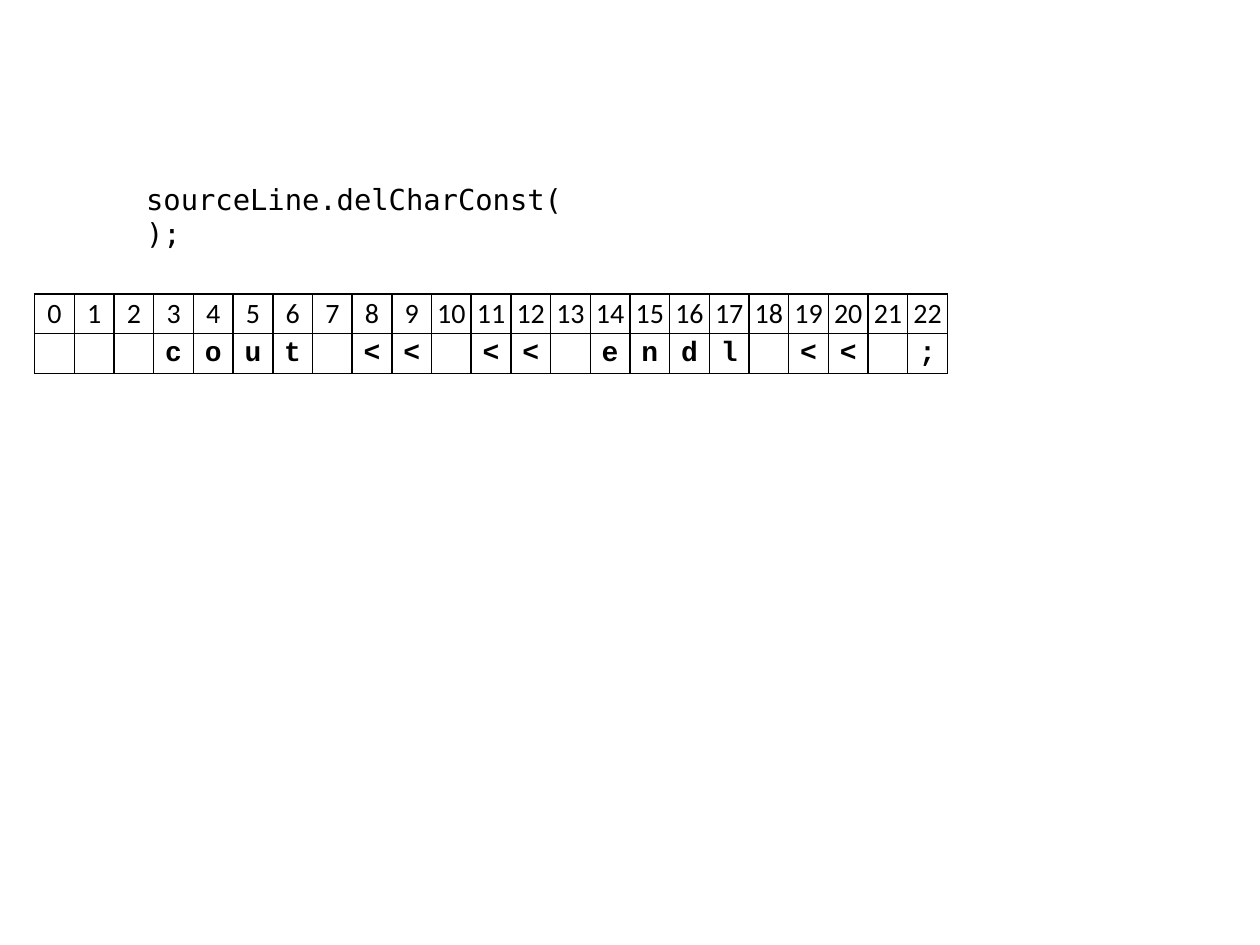
from lxml import etree
from pptx import Presentation
from pptx import util as u
from pptx.dml.color import RGBColor
from pptx.enum import text
from pptx.oxml.ns import qn

CALL = "sourceLine.delCharConst();"
LINE = "   cout << << endl << ;"
BLACK = "000000"
CALL_FONT = {"name": "DejaVu Sans Mono", "size": u.Pt(16.5)}
ROWS = [
    ([str(i) for i in range(len(LINE))], {"name": "Calibri", "size": u.Pt(16)}),
    (LINE, {"name": "Courier New", "size": u.Pt(16), "bold": True}),
]
CELL = u.Pt(22.68)
CELL_FORMAT = {
    "margin_left": 0, "margin_right": 0, "margin_top": 0, "margin_bottom": 0,
    "vertical_anchor": text.MSO_ANCHOR.MIDDLE,
}


def rgb(value):
    """Return the colour for a hex string."""
    return RGBColor.from_string(value)


def assign(obj, values):
    """Set attributes of an object from a dict."""
    for name, value in values.items():
        setattr(obj, name, value)


def write(p, words, font):
    """Add one formatted black run to a paragraph."""
    r = p.add_run()
    r.text = words
    assign(r.font, font)
    r.font.color.rgb = rgb(BLACK)


def add_borders(cell, width=u.Pt(1)):
    """Draw a solid black line on all four sides of a cell."""
    tcPr = cell._tc.get_or_add_tcPr()
    for side in ("lnL", "lnR", "lnT", "lnB"):
        ln = etree.SubElement(tcPr, qn("a:" + side), w=str(int(width)))
        fill = etree.SubElement(ln, qn("a:solidFill"))
        etree.SubElement(fill, qn("a:srgbClr"), val=BLACK)


def add_call(s):
    """Put the function call in the body placeholder."""
    sp = s.placeholders[1]
    assign(sp, {"left": u.Pt(76.3), "top": u.Pt(100), "width": u.Pt(260.6), "height": u.Pt(23)})
    tf = sp.text_frame
    assign(tf, {"word_wrap": True, "auto_size": text.MSO_AUTO_SIZE.NONE,
                "vertical_anchor": text.MSO_ANCHOR.TOP})
    p = tf.paragraphs[0]
    pPr = p._p.get_or_add_pPr()
    pPr.set("marL", "0")
    pPr.set("indent", "0")
    etree.SubElement(pPr, qn("a:buNone"))
    write(p, CALL, CALL_FONT)


def add_line_table(s):
    """Add the source line, one character a cell, below its indices."""
    count = len(LINE)
    table = s.shapes.add_table(len(ROWS), count, u.Pt(19.8), u.Pt(168),
                               CELL * count, CELL * len(ROWS)).table
    assign(table, {"first_row": False, "horz_banding": False})
    for column in table.columns:
        column.width = CELL
    for i, (items, font) in enumerate(ROWS):
        table.rows[i].height = CELL
        for j, item in enumerate(items):
            cell = table.cell(i, j)
            assign(cell, CELL_FORMAT)
            add_borders(cell)
            cell.fill.background()
            p = cell.text_frame.paragraphs[0]
            p.alignment = text.PP_ALIGN.CENTER
            if item.strip():
                write(p, item, font)


prs = Presentation()
assign(prs, {"slide_width": u.Pt(720), "slide_height": u.Pt(540)})
s = prs.slides.add_slide(prs.slide_layouts[1])
title = s.shapes.title._element
title.getparent().remove(title)
add_call(s)
add_line_table(s)
prs.save("out.pptx")
